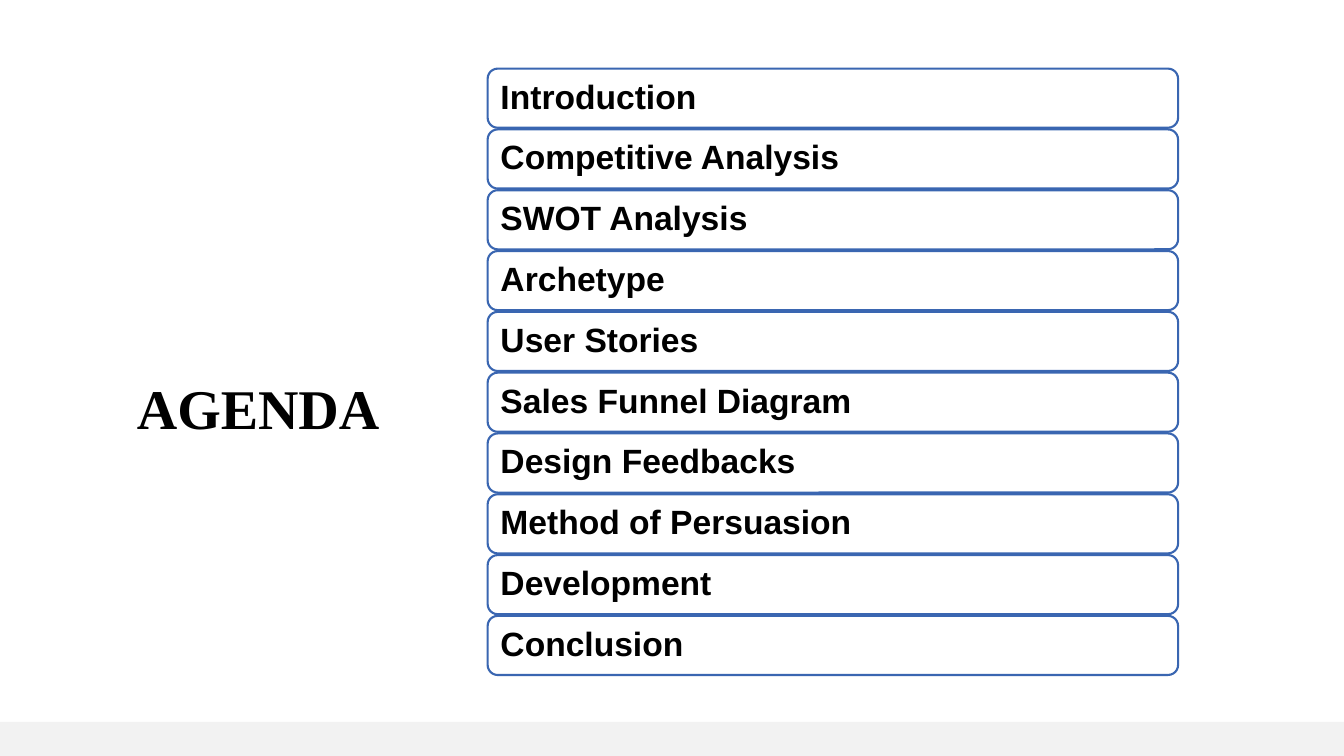
"""Build the agenda slide: a title beside a column of outlined topic bars."""
from dataclasses import dataclass

import pptx
import pptx.dml.color
import pptx.enum.shapes
import pptx.enum.text
import pptx.util
from pptx.util import Cm

TITLE = "AGENDA"
TOPICS = [
    "Introduction",
    "Competitive Analysis",
    "SWOT Analysis",
    "Archetype",
    "User Stories",
    "Sales Funnel Diagram",
    "Design Feedbacks",
    "Method of Persuasion",
    "Development",
    "Conclusion",
]


@dataclass(frozen=True)
class Theme:
    ink: str = "000000"
    paper: str = "FFFFFF"
    outline: str = "3A66B1"
    footer: str = "F2F2F2"
    title_font: str = "Times New Roman"
    title_size: int = 40
    topic_font: str = "Arial"
    topic_size: int = 24
    outline_width: float = 1.5


THEME = Theme()
PAGE_WIDTH, PAGE_HEIGHT = Cm(33.87), Cm(19.05)
FOOTER_HEIGHT = Cm(0.86)
BAR_LEFT, BAR_WIDTH, BAR_HEIGHT = Cm(12.29), Cm(17.4), Cm(1.49)
FIRST_TOP, LAST_TOP = Cm(1.73), Cm(15.52)
BAR_INSET = Cm(0.25)


def color(value):
    return pptx.dml.color.RGBColor.from_string(value)


def style_text(box, font_name, size, spacing, inset, anchor):
    frame = box.text_frame
    frame.word_wrap = True
    frame.auto_size = pptx.enum.text.MSO_AUTO_SIZE.NONE
    frame.vertical_anchor = anchor
    frame.margin_left = frame.margin_right = inset
    frame.margin_top = frame.margin_bottom = inset
    para = frame.paragraphs[0]
    para.alignment = pptx.enum.text.PP_ALIGN.LEFT
    para.line_spacing = spacing
    for span in para.runs:
        span.font.name = font_name
        span.font.size = pptx.util.Pt(size)
        span.font.bold = True
        span.font.color.rgb = color(THEME.ink)


def add_block(page, kind, left, top, width, height, fill):
    block = page.shapes.add_shape(kind, left, top, width, height)
    block.shadow.inherit = False
    block.fill.solid()
    block.fill.fore_color.rgb = color(fill)
    block.line.fill.background()
    return block


def add_title(page):
    title = page.shapes.title
    title.left, title.top = Cm(3.45), Cm(8.31)
    title.width, title.height = Cm(8.6), Cm(2.11)
    title.text_frame.text = TITLE
    style_text(title, THEME.title_font, THEME.title_size, 1.65, 0,
               pptx.enum.text.MSO_ANCHOR.TOP)


def add_topics(page):
    pitch = (LAST_TOP - FIRST_TOP) / (len(TOPICS) - 1)
    for index, topic in enumerate(TOPICS):
        bar = add_block(page, pptx.enum.shapes.MSO_SHAPE.ROUNDED_RECTANGLE,
                        BAR_LEFT, round(FIRST_TOP + index * pitch),
                        BAR_WIDTH, BAR_HEIGHT, THEME.paper)
        bar.adjustments[0] = 0.17
        bar.line.color.rgb = color(THEME.outline)
        bar.line.width = pptx.util.Pt(THEME.outline_width)
        bar.text_frame.text = topic
        style_text(bar, THEME.topic_font, THEME.topic_size, 0.9, BAR_INSET,
                   pptx.enum.text.MSO_ANCHOR.MIDDLE)


def main():
    deck = pptx.Presentation()
    deck.slide_width, deck.slide_height = PAGE_WIDTH, PAGE_HEIGHT
    page = deck.slides.add_slide(deck.slide_layouts.get_by_name("Title Only"))
    add_title(page)
    add_topics(page)
    add_block(page, pptx.enum.shapes.MSO_SHAPE.RECTANGLE, 0,
              PAGE_HEIGHT - FOOTER_HEIGHT, PAGE_WIDTH, FOOTER_HEIGHT,
              THEME.footer)
    deck.save("out.pptx")


if __name__ == "__main__":
    main()
